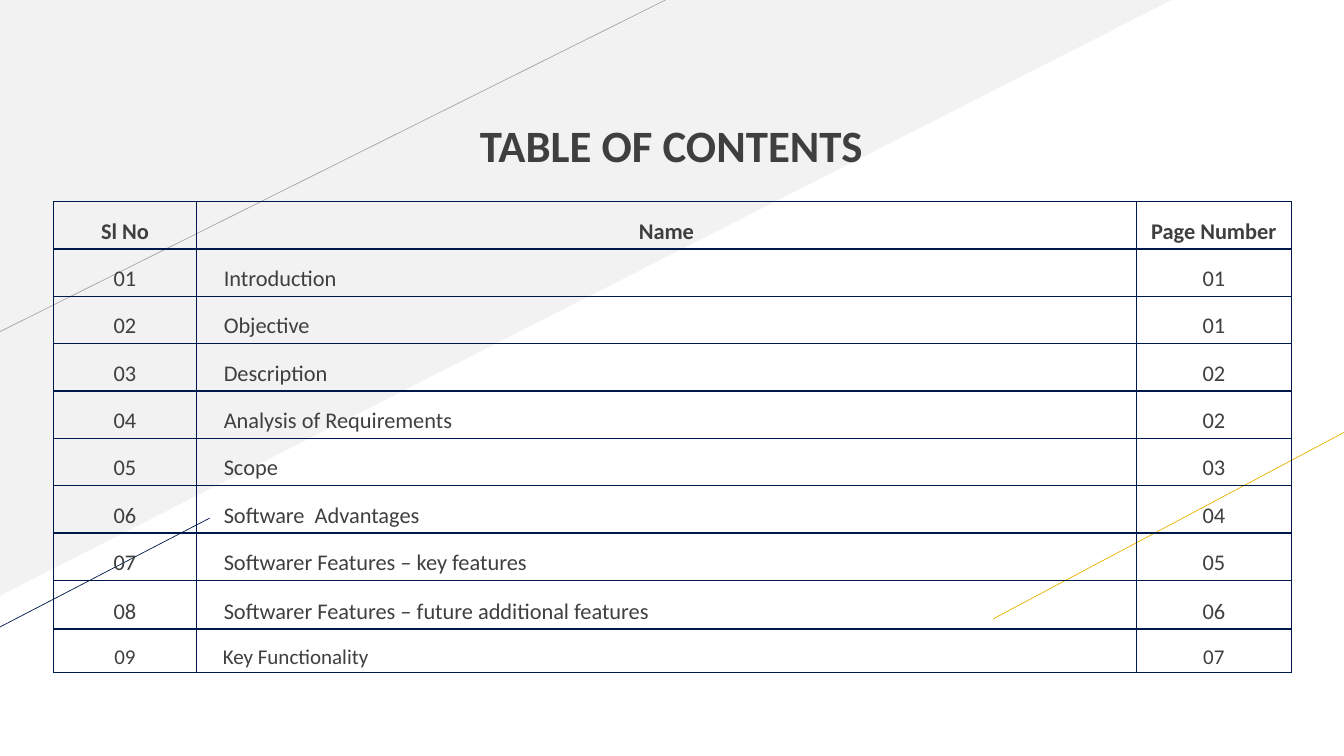
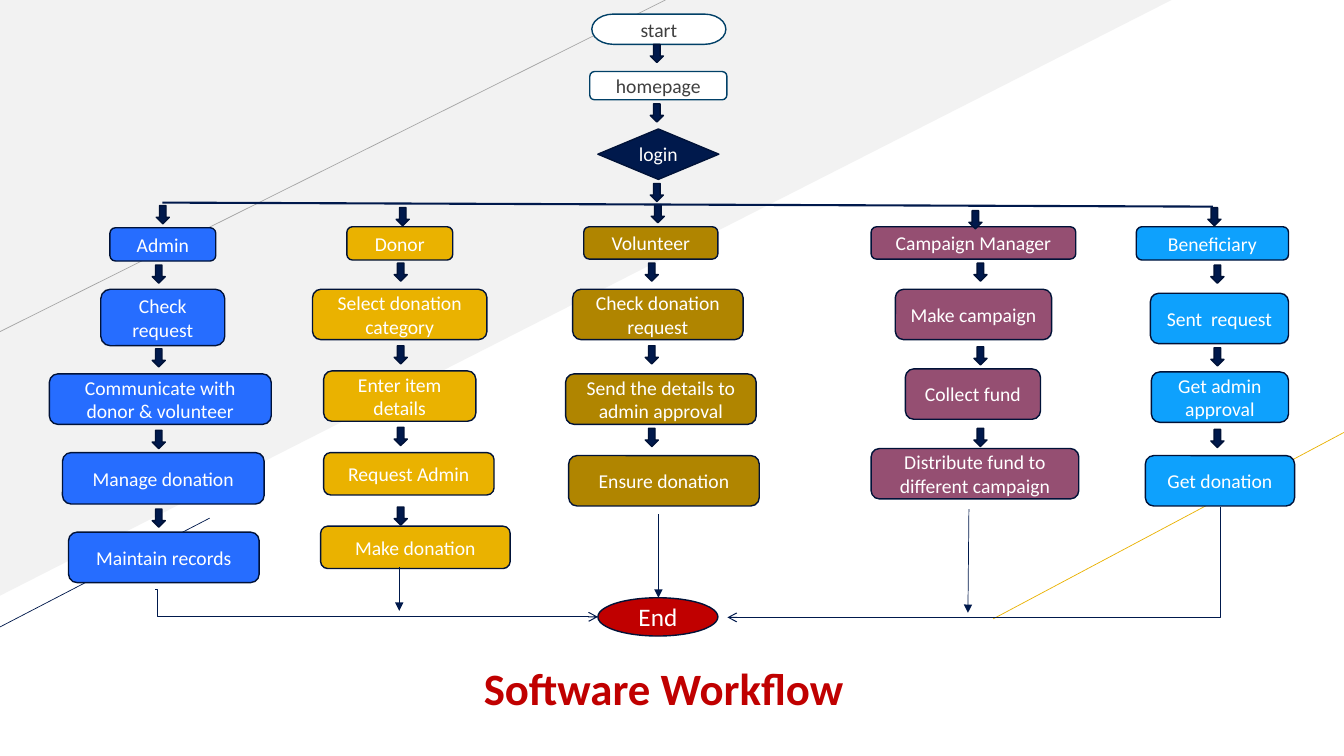
from dataclasses import dataclass

from lxml import etree
from pptx import Presentation
from pptx import util as u
from pptx.dml.color import RGBColor
from pptx.enum import shapes, text
from pptx.oxml.ns import qn

SCALE = 9144  # EMU in one px, at 100 px to the inch
KIND = shapes.MSO_SHAPE
ALIGN = text.PP_ALIGN


@dataclass(frozen=True)
class Theme:
    font: str = "Calibri"
    white: str = "FFFFFF"
    ink: str = "3F3F3F"
    navy: str = "00194C"
    outline: str = "001238"
    teal: str = "014067"
    pale: str = "F2F2F2"
    grey: str = "A6A6A6"
    gold: str = "EAB200"
    blue: str = "266DFF"
    bronze: str = "B08500"
    plum: str = "954F72"
    sky: str = "0EA1FD"
    red: str = "C00000"
    title_size: int = 32
    end_size: int = 18
    table_size: int = 16
    last_row_size: int = 15
    step_size: int = 14


THEME = Theme()


@dataclass(frozen=True)
class Box:
    x: int
    y: int
    w: int
    h: int


@dataclass(frozen=True)
class Node:
    label: str
    box: Box
    fill: str
    kind: KIND = KIND.ROUNDED_RECTANGLE
    line: str = THEME.outline
    color: str = THEME.white
    size: int = THEME.step_size


@dataclass(frozen=True)
class Line:
    start: tuple[int, int]
    end: tuple[int, int]
    color: str = THEME.navy
    width: float = 0.5
    tail: str = ""


@dataclass(frozen=True)
class Elbow:
    line: Line
    preset: str
    turn: int = 0
    bend: int | None = None


@dataclass(frozen=True)
class Lane:
    fill: str
    entry: tuple[int, int]  # arrow dropping from the crossbar
    arrow_x: int
    arrow_tops: tuple[int, ...]
    steps: tuple[tuple[str, Box], ...]


@dataclass(frozen=True)
class Row:
    cells: tuple[str, str, str]
    size: int = THEME.table_size
    bold: bool = False
    side: int = 6
    top: int = 16
    height: int = 47


BACKDROP = (
    Line((0, 329), (660, 0), THEME.grey),
    Line((985, 614), (1333, 429), THEME.gold),
    Line((-2, 623), (208, 514)),
)

CONTENTS = (
    ("Introduction", "01"), ("Objective", "01"), ("Description", "02"),
    ("Analysis of Requirements", "02"), ("Scope", "03"),
    ("Software  Advantages", "04"), ("Softwarer Features – key features", "05"),
    ("Softwarer Features – future additional features", "06"),
    ("Key Functionality", "07"),
)
ROW_STYLES = {
    8: dict(top=18),
    9: dict(size=THEME.last_row_size, side=5, top=15, height=43),
}
COLUMNS = (142, 932, 154)
NAME_COLUMN, NAME_INDENT = 1, 21

TRUNK = (
    Node("start", Box(587, 14, 133, 30), THEME.white,
         KIND.FLOWCHART_TERMINATOR, THEME.teal, THEME.ink),
    Node("homepage", Box(585, 71, 136, 28), THEME.white,
         line=THEME.teal, color=THEME.ink),
    Node("login", Box(593, 128, 120, 50), THEME.navy, KIND.DIAMOND),
    Node("End", Box(593, 593, 119, 38), THEME.red, KIND.OVAL,
         size=THEME.end_size),
)
TRUNK_ARROWS = (645, (44, 103, 182))

LANES = (
    Lane(THEME.blue, (155, 204), 151, (263, 346, 427, 505), (
        ("Admin", Box(109, 226, 105, 33)),
        ("Check request", Box(100, 287, 123, 56)),
        ("Communicate with donor & volunteer", Box(49, 371, 220, 50)),
        ("Manage donation", Box(62, 449, 200, 51)),
        ("Maintain records", Box(68, 528, 189, 50)))),
    Lane(THEME.gold, (393, 206), 391, (261, 343, 424, 503), (
        ("Donor", Box(344, 225, 105, 33)),
        ("Select donation category", Box(310, 287, 173, 50)),
        ("Enter item details", Box(321, 368, 151, 50)),
        ("Request Admin", Box(321, 449, 169, 42)),
        ("Make donation", Box(318, 522, 188, 42)))),
    Lane(THEME.bronze, (646, 203), 640, (261, 343, 425), (
        ("Volunteer", Box(579, 225, 133, 32)),
        ("Check donation request", Box(568, 287, 169, 50)),
        ("Send the details to admin approval", Box(561, 371, 189, 50)),
        ("Ensure donation", Box(564, 452, 189, 50)))),
    Lane(THEME.plum, (961, 209), 966, (261, 344, 425), (
        ("Campaign Manager", Box(864, 225, 203, 32)),
        ("Make campaign", Box(888, 287, 155, 50)),
        ("Collect fund", Box(898, 366, 134, 50)),
        ("Distribute fund to different campaign", Box(864, 445, 206, 50)))),
    Lane(THEME.sky, (1198, 206), 1201, (263, 345, 426), (
        ("Beneficiary", Box(1127, 225, 151, 33)),
        ("Sent  request", Box(1141, 291, 137, 50)),
        ("Get admin approval", Box(1142, 369, 136, 50)),
        ("Get donation", Box(1136, 452, 148, 50)))),
)

FLOW_LINES = (
    Line((161, 201), (1203, 205), width=1.5),
    Line((396, 563), (396, 606), tail="triangle"),
    Line((653, 510), (653, 593), tail="triangle"),
    Line((961, 505), (960, 608), tail="triangle"),
)
ELBOWS = (
    Elbow(Line((154, 585), (593, 612), width=0.75, tail="arrow"),
          "bentConnector3", bend=600),
    Elbow(Line((911, 313), (1021, 802), width=0.75, tail="arrow"),
          "bentConnector2", turn=90),
)


def px(length: int) -> u.Emu:
    return u.Emu(length * SCALE)


def place(box: Box) -> tuple[u.Emu, ...]:
    return px(box.x), px(box.y), px(box.w), px(box.h)


def rgb(color: str) -> RGBColor:
    return RGBColor.from_string(color)


def add_span(para, words: str, size: int, color: str, bold: bool = False) -> None:
    span = para.add_run()
    span.text = words
    span.font.name = THEME.font
    span.font.size = u.Pt(size)
    span.font.bold = bold
    span.font.color.rgb = rgb(color)


def add_title(page, words: str, box: Box, color: str) -> None:
    frame = page.shapes.add_textbox(*place(box)).text_frame
    frame.word_wrap = False
    frame.auto_size = text.MSO_AUTO_SIZE.SHAPE_TO_FIT_TEXT
    add_span(frame.paragraphs[0], words, THEME.title_size, color, True)


def add_figure(page, kind: KIND, box: Box, fill: str, line: str = ""):
    figure = page.shapes.add_shape(kind, *place(box))
    figure.shadow.inherit = False
    figure.fill.solid()
    figure.fill.fore_color.rgb = rgb(fill)
    if line:
        figure.line.color.rgb = rgb(line)
        figure.line.width = u.Pt(1)
    else:
        figure.line.fill.background()
    return figure


def add_node(page, node: Node) -> None:
    frame = add_figure(page, node.kind, node.box, node.fill, node.line).text_frame
    frame.word_wrap = True
    frame.vertical_anchor = text.MSO_ANCHOR.MIDDLE
    para = frame.paragraphs[0]
    para.alignment = ALIGN.CENTER
    add_span(para, node.label, node.size, node.color)


def add_down_arrow(page, x: int, y: int) -> None:
    add_figure(page, KIND.DOWN_ARROW, Box(x, y, 13, 18), THEME.navy, THEME.outline)


def add_line(page, line: Line, kind=shapes.MSO_CONNECTOR.STRAIGHT):
    link = page.shapes.add_connector(kind, *map(px, line.start + line.end))
    link.line.color.rgb = rgb(line.color)
    link.line.width = u.Pt(line.width)
    props = link.element.spPr
    if line.tail:
        etree.SubElement(props.find(qn("a:ln")), qn("a:tailEnd"), type=line.tail)
    etree.SubElement(props, qn("a:effectLst"))
    return link


def add_elbow(page, elbow: Elbow) -> None:
    props = add_line(page, elbow.line, shapes.MSO_CONNECTOR.ELBOW).element.spPr
    props.find(qn("a:xfrm")).set("rot", str(elbow.turn * 60000))
    geometry = props.find(qn("a:prstGeom"))
    geometry.set("prst", elbow.preset)
    if elbow.bend is not None:
        etree.SubElement(geometry.find(qn("a:avLst")), qn("a:gd"),
                         name="adj1", fmla=f"val {elbow.bend}")


def set_backdrop(page, layout) -> None:
    """Draw the shared backdrop and move it to the layout of every page."""
    tree = layout.shapes.element
    for holder in list(layout.placeholders):
        tree.remove(holder.element)
    wedge = add_figure(page, KIND.RIGHT_TRIANGLE, Box(0, 0, 1162, 591), THEME.pale)
    wedge.element.spPr.find(qn("a:xfrm")).set("flipV", "1")
    for part in (wedge, *(add_line(page, line) for line in BACKDROP)):
        tree.append(part.element)


def add_borders(cell) -> None:
    props = cell._tc.get_or_add_tcPr()
    for side in ("lnL", "lnR", "lnT", "lnB"):
        border = etree.SubElement(props, qn(f"a:{side}"), w=str(u.Pt(1)))
        paint = etree.SubElement(border, qn("a:solidFill"))
        etree.SubElement(paint, qn("a:srgbClr"), val=THEME.navy)


def fill_cell(cell, words: str, row: Row, is_name: bool) -> None:
    add_borders(cell)
    cell.fill.background()
    cell.margin_left = px(row.side + (NAME_INDENT if is_name else 0))
    cell.margin_right = px(row.side)
    cell.margin_top, cell.margin_bottom = px(row.top), px(3)
    para = cell.text_frame.paragraphs[0]
    para.alignment = ALIGN.LEFT if is_name else ALIGN.CENTER
    add_span(para, words, row.size, THEME.ink, row.bold)


def add_contents_table(page) -> None:
    rows = [Row(("Sl No", "Name", "Page Number"), bold=True)]
    rows += [Row((f"{number:02}", name, start), **ROW_STYLES.get(number, {}))
             for number, (name, start) in enumerate(CONTENTS, 1)]
    box = Box(53, 200, sum(COLUMNS), sum(row.height for row in rows))
    table = page.shapes.add_table(len(rows), len(COLUMNS), *place(box)).table
    table.first_row = table.horz_banding = False
    for column, width in zip(table.columns, COLUMNS):
        column.width = px(width)
    for r, row in enumerate(rows):
        table.rows[r].height = px(row.height)
        for c, words in enumerate(row.cells):
            fill_cell(table.cell(r, c), words, row, c == NAME_COLUMN and r > 0)


def add_workflow(page) -> None:
    for node in TRUNK:
        add_node(page, node)
    trunk_x, trunk_tops = TRUNK_ARROWS
    arrows = [(trunk_x, top) for top in trunk_tops]
    for lane in LANES:
        for label, box in lane.steps:
            add_node(page, Node(label, box, lane.fill))
        arrows += [lane.entry, *((lane.arrow_x, top) for top in lane.arrow_tops)]
    for x, y in arrows:
        add_down_arrow(page, x, y)
    for line in FLOW_LINES:
        add_line(page, line)
    for elbow in ELBOWS:
        add_elbow(page, elbow)


def main() -> None:
    deck = Presentation()
    deck.slide_width, deck.slide_height = px(1333), px(750)
    blank = deck.slide_layouts[6]

    # Table of contents
    page = deck.slides.add_slide(blank)
    set_backdrop(page, blank)
    add_contents_table(page)
    add_title(page, "TABLE OF CONTENTS", Box(466, 112, 401, 64), THEME.ink)

    # Workflow chart
    page = deck.slides.add_slide(blank)
    add_workflow(page)
    add_title(page, "Software Workflow", Box(470, 651, 394, 64), THEME.red)

    deck.save("out.pptx")


if __name__ == "__main__":
    main()
